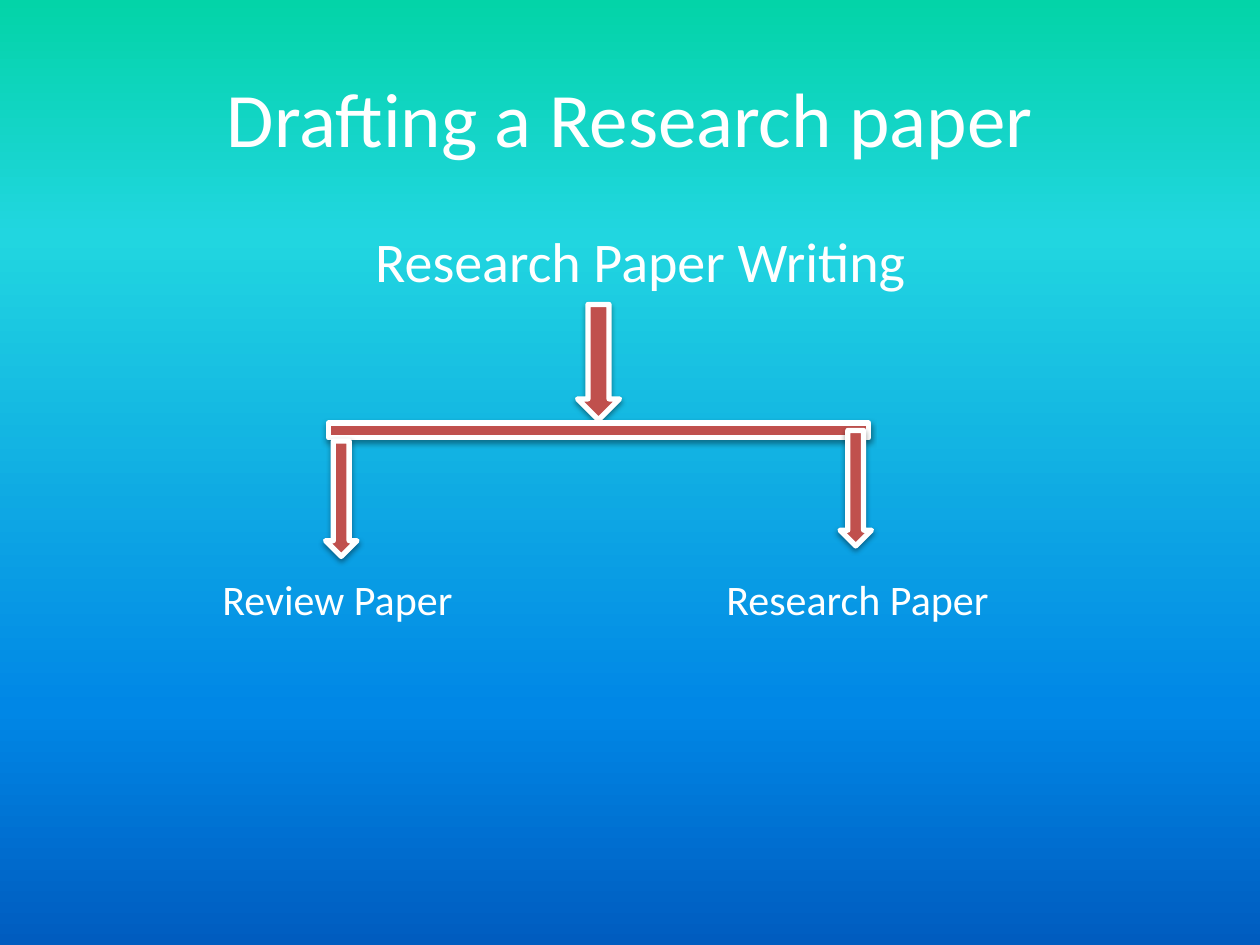
from lxml.etree import SubElement
from pptx import Presentation
from pptx.dml.color import RGBColor
from pptx.enum.shapes import MSO_SHAPE
from pptx.enum.text import MSO_ANCHOR, MSO_AUTO_SIZE, PP_ALIGN
from pptx.oxml.ns import qn
from pptx.util import Inches, Pt

WHITE = RGBColor(0xFF, 0xFF, 0xFF)
BLACK = RGBColor(0x00, 0x00, 0x00)
BRICK = RGBColor(0xC0, 0x50, 0x4D)
SKY_STOPS = [
    (0, RGBColor(0x03, 0xD4, 0xA8)),
    (25, RGBColor(0x21, 0xD6, 0xE0)),
    (75, RGBColor(0x00, 0x87, 0xE6)),
    (100, RGBColor(0x00, 0x5C, 0xBF)),
]
FONT = "Calibri"


def grid(*cells):
    """Turn grid cells, twelve to the inch, into lengths."""
    return [Inches(cell / 12) for cell in cells]


def paint_background(slide):
    fill = slide.background.fill
    fill.gradient()
    fill.gradient_angle = 270
    stops = slide.background._cSld.find(".//" + qn("a:gsLst"))
    for stop in list(stops):
        stops.remove(stop)
    for percent, color in SKY_STOPS:
        stop = SubElement(stops, qn("a:gs"), pos=str(percent * 1000))
        SubElement(stop, qn("a:srgbClr"), val=str(color))


def add_label(slide, text, cells, size):
    label = slide.shapes.add_textbox(*grid(*cells))
    frame = label.text_frame
    frame.word_wrap = True
    frame.text = text
    font = frame.paragraphs[0].runs[0].font
    font.name, font.size = FONT, Pt(size)
    font.color.rgb = WHITE
    return frame


def add_shadow(shape):
    effects = SubElement(shape._element.spPr, qn("a:effectLst"))
    shadow = SubElement(effects, qn("a:outerShdw"), blurRad="40000",
                        dist="20000", dir="5400000", rotWithShape="0")
    color = SubElement(shadow, qn("a:srgbClr"), val=str(BLACK))
    SubElement(color, qn("a:alpha"), val="38000")


def add_branch(slide, preset, cells):
    branch = slide.shapes.add_shape(preset, *grid(*cells))
    branch.fill.solid()
    branch.fill.fore_color.rgb = BRICK
    branch.line.color.rgb = WHITE
    branch.line.width = Pt(3)
    add_shadow(branch)


def main():
    deck = Presentation()
    deck.slide_width, deck.slide_height = grid(120, 90)
    slide = deck.slides.add_slide(deck.slide_layouts[6])
    paint_background(slide)

    title = add_label(slide, "Drafting a Research paper", (6, 3.6, 108, 15), 44)
    title.vertical_anchor = MSO_ANCHOR.MIDDLE
    title.paragraphs[0].alignment = PP_ALIGN.CENTER

    topic = add_label(slide, "Research Paper Writing", (6, 21, 108, 59.4), 32)
    topic.paragraphs[0]._p.get_or_add_pPr().set("marL", str(Inches(2.38)))

    add_branch(slide, MSO_SHAPE.DOWN_ARROW, (55, 29, 4, 11))
    add_branch(slide, MSO_SHAPE.MATH_MINUS, (22, 38, 70, 6))
    for left, top in [(31, 42), (80, 41)]:
        add_branch(slide, MSO_SHAPE.DOWN_ARROW, (left, top, 3, 11))

    for kind, left, width in [("Review Paper", 20, 28), ("Research Paper", 68, 32)]:
        paper = add_label(slide, kind, (left, 54, width, 6), 24)
        paper.auto_size = MSO_AUTO_SIZE.SHAPE_TO_FIT_TEXT

    deck.save("out.pptx")


if __name__ == "__main__":
    main()
